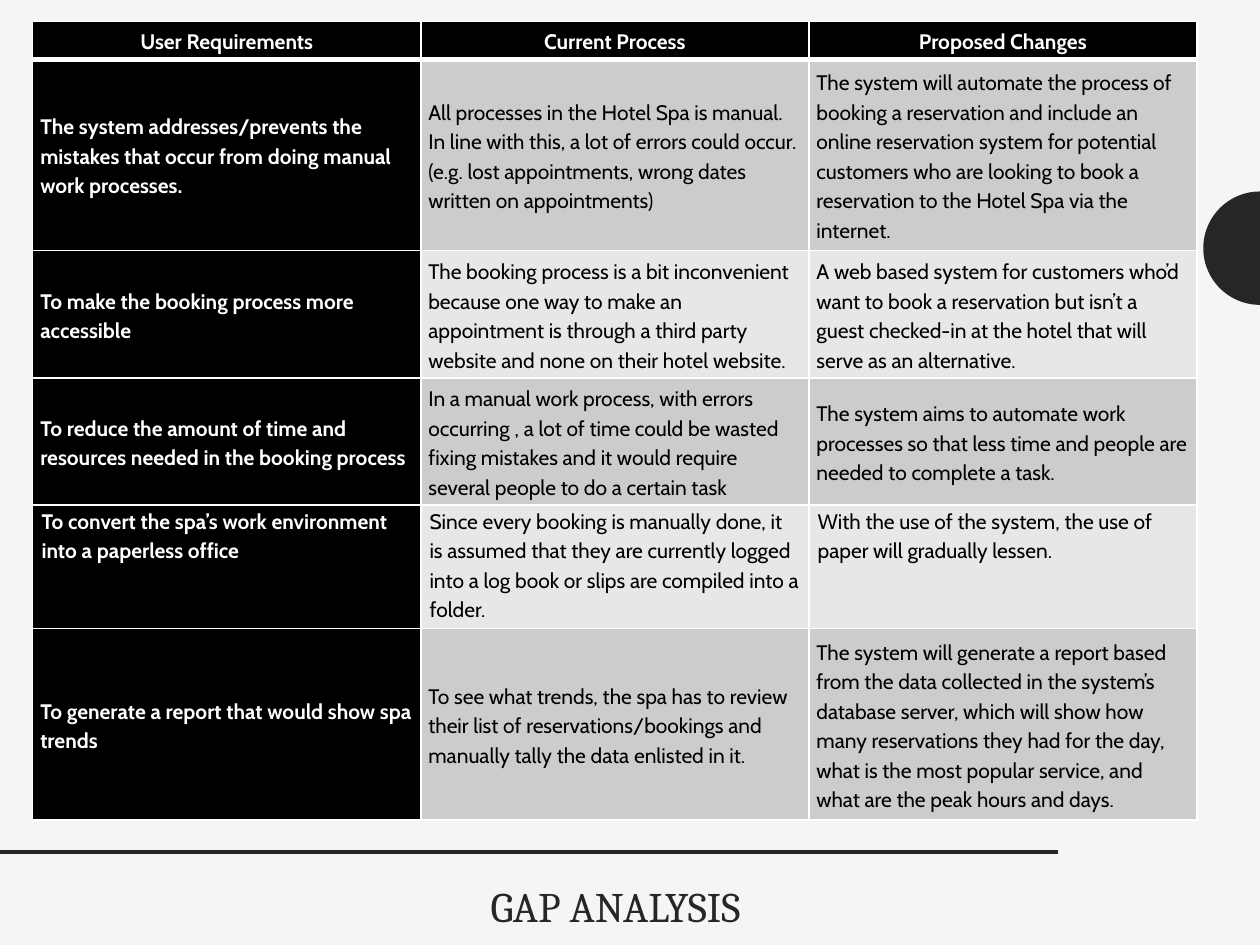
from dataclasses import dataclass
from math import cos, pi, sin

from lxml.etree import SubElement
from pptx import Presentation
from pptx.dml.color import RGBColor
from pptx.enum.text import MSO_ANCHOR as Anchor, MSO_AUTO_SIZE as AutoSize, PP_ALIGN as Align
from pptx.oxml.ns import qn
from pptx.util import Inches, Pt


@dataclass(frozen=True)
class Theme:
    background: str = "F5F5F5"
    ink: str = "262626"
    black: str = "000000"
    white: str = "FFFFFF"
    dark_band: str = "CCCCCC"
    light_band: str = "E7E7E7"
    title_font: str = "Cambria"
    table_font: str = "Cabin"
    title_size: int = 24
    table_size: int = 12


@dataclass(frozen=True)
class Gap:
    requirement: str
    current: str
    proposed: str
    height: float
    anchor: Anchor = Anchor.MIDDLE
    inset: float = 0.06


THEME = Theme()
HEADINGS = Gap("User Requirements", "Current Process", "Proposed Changes", 0.3)
GAPS = [
    Gap("The system addresses/prevents the mistakes that occur from doing manual work processes.",
        "All processes in the Hotel Spa is manual. In line with this, a lot of errors could occur. "
        "(e.g. lost appointments, wrong dates written on appointments)",
        "The system will automate the process of booking a reservation and include an online "
        "reservation system for potential customers who are looking to book a reservation to the "
        "Hotel Spa via the internet.", 1.52),
    Gap("To make the booking process more accessible",
        "The booking process is a bit inconvenient because one way to make an appointment is "
        "through a third party website and none on their hotel website.",
        "A web based system for customers who’d want to book a reservation but isn’t a guest "
        "checked-in at the hotel that will serve as an alternative.", 1.01),
    Gap("To reduce the amount of time and resources needed in the booking process",
        "In a manual work process, with errors occurring , a lot of time could be wasted fixing "
        "mistakes and it would require several people to do a certain task",
        "The system aims to automate work processes so that less time and people are needed to "
        "complete a task.", 1.01),
    Gap("To convert the spa’s work environment into a paperless office",
        "Since every booking is manually done, it is assumed that they are currently logged into "
        "a log book or slips are compiled into a folder.",
        "With the use of the system, the use of paper will gradually lessen.",
        0.98, Anchor.TOP, 0.07),
    Gap("To generate a report that would show spa trends",
        "To see what trends, the spa has to review their list of reservations/bookings and "
        "manually tally the data enlisted in it.",
        "The system will generate a report based from the data collected in the system’s database "
        "server, which will show how many reservations they had for the day, what is the most "
        "popular service, and what are the peak hours and days.", 1.52),
]


def rgb(value: str) -> RGBColor:
    return RGBColor.from_string(value)


def write(frame, text: str, *, font: str, size: float, color: str, bold: bool = False,
          align: Align = Align.LEFT, spacing: float = 1.15, after: float = 0) -> None:
    paragraph = frame.paragraphs[0]
    paragraph.alignment = align
    paragraph.line_spacing = spacing
    paragraph.space_before, paragraph.space_after = Pt(0), Pt(after)
    run = paragraph.add_run()
    run.text = text
    run.font.name, run.font.size, run.font.bold = font, Pt(size), bold
    run.font.color.rgb = rgb(color)


def set_borders(cell, top: float, bottom: float) -> None:
    properties = cell._tc.get_or_add_tcPr()
    for side, width in (("L", 1), ("R", 1), ("T", top), ("B", bottom)):
        edge = SubElement(properties, qn(f"a:ln{side}"), w=str(Pt(width)))
        SubElement(SubElement(edge, qn("a:solidFill")), qn("a:srgbClr"), val=THEME.white)


def add_half_disc(slide, center_x: float, center_y: float, radius: float) -> None:
    steps = 48
    points = [(Inches(center_x - radius * sin(pi * i / steps)),
               Inches(center_y - radius * cos(pi * i / steps))) for i in range(steps + 1)]
    builder = slide.shapes.build_freeform(*points[0])
    builder.add_line_segments(points[1:], close=True)
    disc = builder.convert_to_shape()
    disc.shadow.inherit = False
    disc.fill.solid()
    disc.fill.fore_color.rgb = rgb(THEME.ink)
    disc.line.fill.background()


def add_rule(slide, start_x: float, end_x: float, y: float) -> None:
    rule = slide.shapes.add_connector(1, Inches(start_x), Inches(y), Inches(end_x), Inches(y))
    rule.line.color.rgb = rgb(THEME.ink)
    rule.line.width = Pt(2)
    SubElement(rule._element.spPr, qn("a:effectLst"))


def add_gap_table(slide, left: float, top: float, column_width: float) -> None:
    rows = [HEADINGS, *GAPS]
    table = slide.shapes.add_table(len(rows), 3, Inches(left), Inches(top),
                                   Inches(3 * column_width),
                                   Inches(sum(row.height for row in rows))).table
    table.first_row = table.horz_banding = False
    for column in table.columns:
        column.width = Inches(column_width)
    for r, row in enumerate(rows):
        table.rows[r].height = Inches(row.height)
        band = THEME.dark_band if r % 2 else THEME.light_band
        for c, text in enumerate((row.requirement, row.current, row.proposed)):
            cell = table.cell(r, c)
            heading = r == 0 or c == 0
            set_borders(cell, top=3 if r == 1 else 1, bottom=3 if r == 0 else 1)
            cell.fill.solid()
            cell.fill.fore_color.rgb = rgb(THEME.black if heading else band)
            cell.margin_left = cell.margin_right = Inches(row.inset)
            cell.margin_top = cell.margin_bottom = 0
            cell.vertical_anchor = row.anchor
            write(cell.text_frame, text, font=THEME.table_font, size=THEME.table_size,
                  color=THEME.white if heading else THEME.black, bold=heading,
                  align=Align.CENTER if r == 0 else Align.LEFT, after=10)


# Slide
deck = Presentation()
deck.slide_width, deck.slide_height = Inches(10), Inches(7.5)
slide = deck.slides.add_slide(deck.slide_layouts[5])
slide.background.fill.solid()
slide.background.fill.fore_color.rgb = rgb(THEME.background)

# Decoration
add_half_disc(slide, 10, 1.97, 0.45)
add_rule(slide, 8.4, 0, 6.76)

# Title
title = slide.shapes.title
title.left, title.top, title.width, title.height = map(Inches, (0.11, 6.75, 9.55, 0.83))
title.text_frame.auto_size = AutoSize.NONE
title.text_frame.vertical_anchor = Anchor.MIDDLE
write(title.text_frame, "GAP ANALYSIS", font=THEME.title_font, size=THEME.title_size,
      color=THEME.ink, align=Align.CENTER, spacing=1.13)

# Gap table
add_gap_table(slide, 0.26, 0.17, 3.08)

deck.save("out.pptx")
